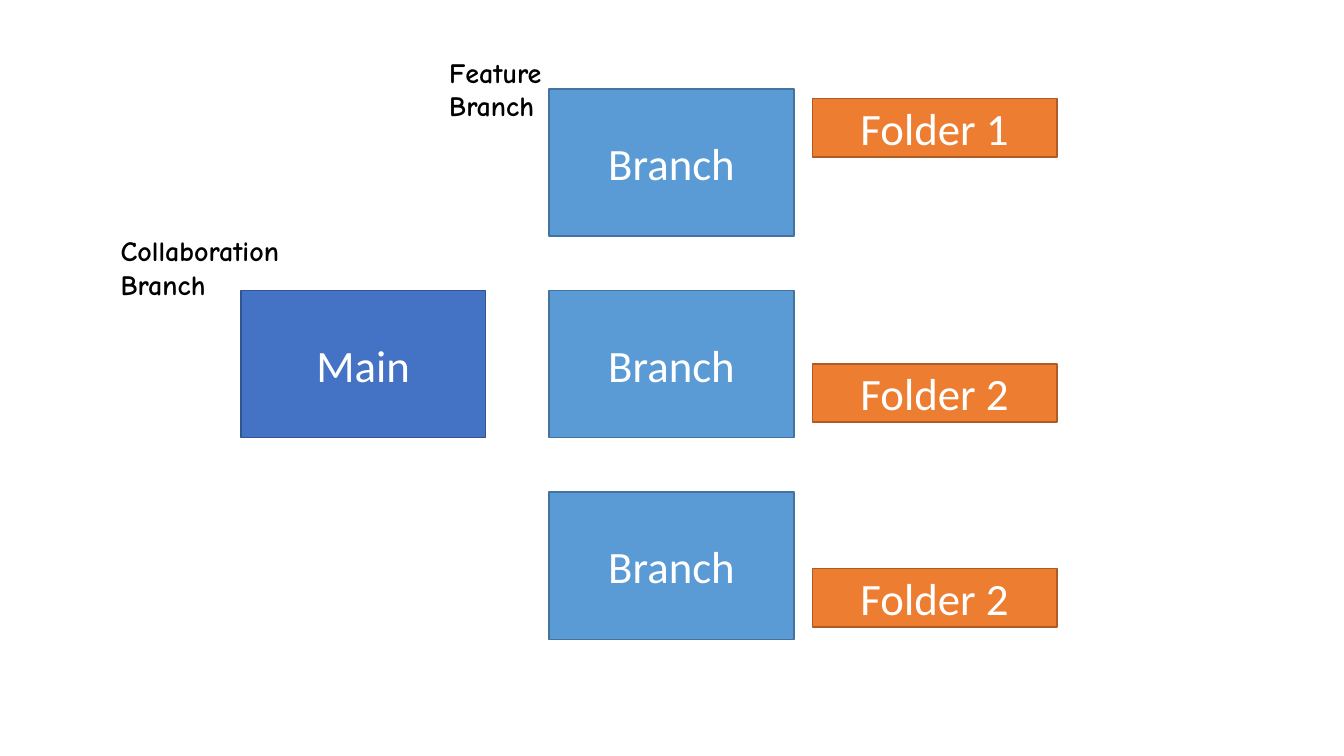
from dataclasses import dataclass

from pptx import Presentation
from pptx.dml.color import RGBColor
from pptx.enum.shapes import MSO_SHAPE
from pptx.enum.text import MSO_ANCHOR, MSO_AUTO_SIZE, PP_ALIGN
from pptx.util import Cm, Pt


@dataclass(frozen=True)
class Theme:
    """Colours (fill, line), fonts and type sizes of the slide."""
    main: tuple = ("4472C4", "325491")
    branch: tuple = ("5B9BD5", "43739E")
    folder: tuple = ("ED7D31", "AF5C24")
    box_text: str = "FFFFFF"
    label_text: str = "000000"
    box_font: str = "Calibri"
    label_font: str = "Comic Neue"
    box_size: int = 32
    label_size: int = 20


theme = Theme()
BOX_W, BRANCH_H, FOLDER_H = 6.17, 3.71, 1.47
MAIN_X, BRANCH_X, FOLDER_X = 6.07, 13.84, 20.47
ROWS = [2.24 + 5.08 * i for i in range(3)]


def style_text(p, text, font, size, color):
    """Write text into a paragraph and set its font."""
    p.text = text
    p.font.name = font
    p.font.size = Pt(size)
    p.font.color.rgb = RGBColor.from_string(color)


def add_box(slide, text, x, y, h, colors):
    """Add an outlined rectangle with centred text."""
    fill, line = colors
    sp = slide.shapes.add_shape(MSO_SHAPE.RECTANGLE, Cm(x), Cm(y), Cm(BOX_W), Cm(h))
    sp.shadow.inherit = False
    sp.fill.solid()
    sp.fill.fore_color.rgb = RGBColor.from_string(fill)
    sp.line.color.rgb = RGBColor.from_string(line)
    sp.line.width = Pt(1)
    tf = sp.text_frame
    tf.vertical_anchor = MSO_ANCHOR.MIDDLE
    p = tf.paragraphs[0]
    p.alignment = PP_ALIGN.CENTER
    style_text(p, text, theme.box_font, theme.box_size, theme.box_text)


prs = Presentation()
prs.slide_width, prs.slide_height = Cm(33.87), Cm(19.05)
slide = prs.slides.add_slide(prs.slide_layouts[6])

add_box(slide, "Main", MAIN_X, ROWS[1], BRANCH_H, theme.main)
for y in ROWS:
    add_box(slide, "Branch", BRANCH_X, y, BRANCH_H, theme.branch)

# Branch labels; \v is a line break
for text, x, y in [("Collaboration Branch", 2.79, 5.77), ("Feature\vBranch", 11.07, 1.27)]:
    sp = slide.shapes.add_textbox(Cm(x), Cm(y), Cm(5.51), Cm(1.96))
    tf = sp.text_frame
    tf.word_wrap = True
    tf.auto_size = MSO_AUTO_SIZE.SHAPE_TO_FIT_TEXT
    p = tf.paragraphs[0]
    style_text(p, text, theme.label_font, theme.label_size, theme.label_text)
    p.font.bold = True

for text, y in [("Folder 1", 2.49), ("Folder 2", 9.17), ("Folder 2", 14.33)]:
    add_box(slide, text, FOLDER_X, y, FOLDER_H, theme.folder)

prs.save("out.pptx")
